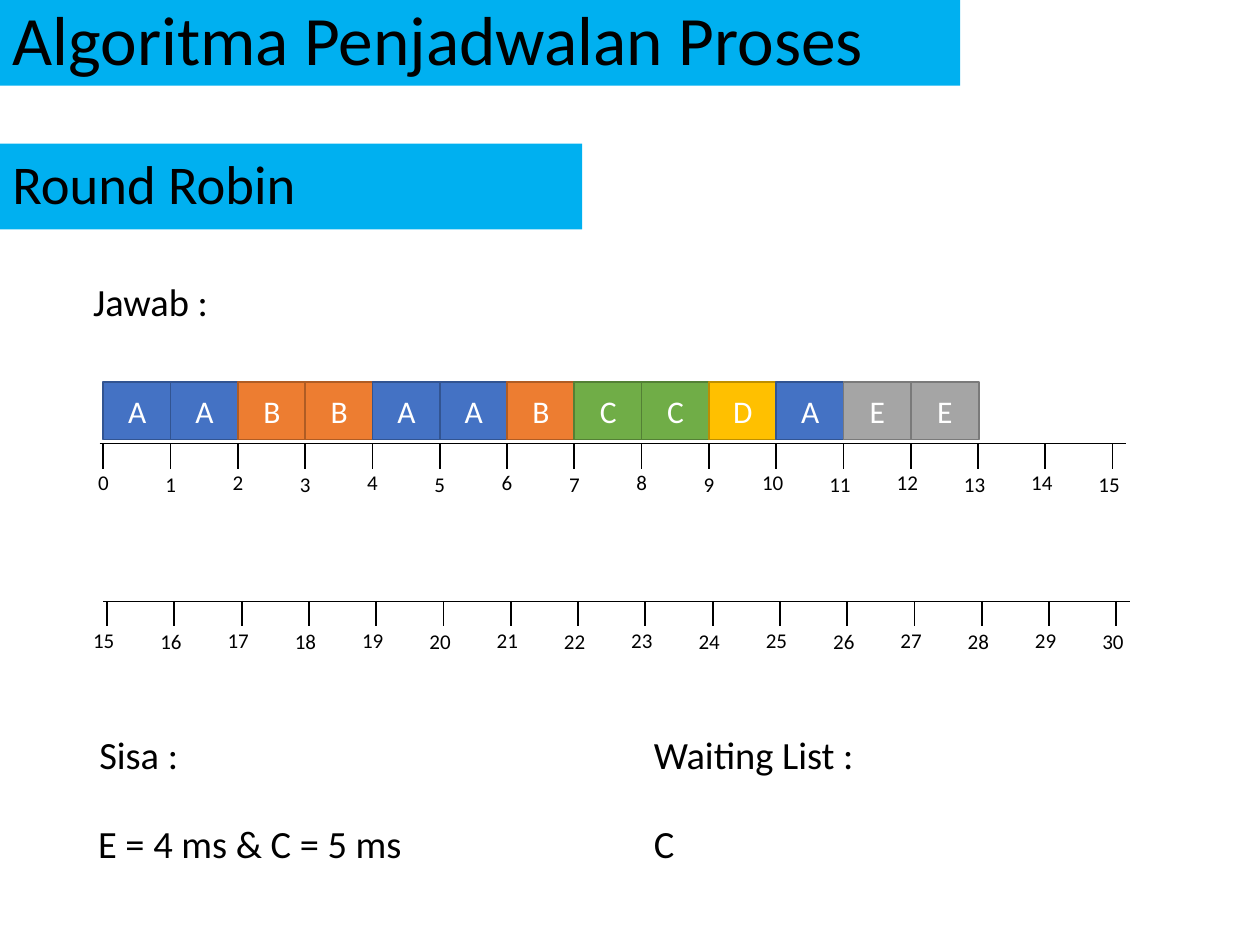
"""Build the Round Robin scheduling slide with its Gantt chart and two time axes."""
from lxml import etree
from pptx import Presentation
from pptx.dml.color import RGBColor
from pptx.enum.shapes import MSO_CONNECTOR, MSO_SHAPE
from pptx.enum.text import MSO_ANCHOR, MSO_AUTO_SIZE, PP_ALIGN
from pptx.oxml.ns import qn
from pptx.util import Inches, Pt

RECTANGLE = MSO_SHAPE.RECTANGLE
STRAIGHT = MSO_CONNECTOR.STRAIGHT
MIDDLE, TOP = MSO_ANCHOR.MIDDLE, MSO_ANCHOR.TOP
LEFT, CENTER, JUSTIFY = PP_ALIGN.LEFT, PP_ALIGN.CENTER, PP_ALIGN.JUSTIFY
NO_FIT, GROW = MSO_AUTO_SIZE.NONE, MSO_AUTO_SIZE.SHAPE_TO_FIT_TEXT

BLACK = RGBColor(0x00, 0x00, 0x00)
WHITE = RGBColor(0xFF, 0xFF, 0xFF)
BAND_BLUE = RGBColor(0x00, 0xB0, 0xF0)
PROCESS_COLOURS = {
    "A": (RGBColor(0x44, 0x72, 0xC4), RGBColor(0x32, 0x54, 0x91)),
    "B": (RGBColor(0xED, 0x7D, 0x31), RGBColor(0xAF, 0x5C, 0x24)),
    "C": (RGBColor(0x70, 0xAD, 0x47), RGBColor(0x53, 0x80, 0x35)),
    "D": (RGBColor(0xFF, 0xC0, 0x00), RGBColor(0xBD, 0x8E, 0x00)),
    "E": (RGBColor(0xA5, 0xA5, 0xA5), RGBColor(0x7A, 0x7A, 0x7A)),
}
STEP = 0.534


def write(box, text, size, colour=BLACK, align=LEFT, anchor=TOP, fit=GROW, spacing=1.0):
    """Put one formatted paragraph in a box."""
    frame = box.text_frame
    para = frame.paragraphs[0]
    span = para.add_run()
    span.text = text
    span.font.color.rgb = colour
    formats = (
        (frame, {"word_wrap": True, "vertical_anchor": anchor, "auto_size": fit}),
        (para, {"alignment": align, "line_spacing": spacing}),
        (span.font, {"name": "Calibri", "size": Pt(size)}),
    )
    for target, values in formats:
        for name, value in values.items():
            setattr(target, name, value)


def draw_line(shapes, x1, y1, x2, y2, width):
    """Draw a black line without a shadow."""
    line = shapes.add_connector(STRAIGHT, Inches(x1), Inches(y1), Inches(x2), Inches(y2))
    line.line.color.rgb = BLACK
    line.line.width = Pt(width)
    etree.SubElement(line._element.spPr, qn("a:effectLst"))


deck = Presentation()
deck.slide_width, deck.slide_height = Inches(10), Inches(7.5)
page = deck.slides.add_slide(deck.slide_layouts[5])

title = page.shapes.title
subtitle = page.shapes.add_shape(RECTANGLE, 0, 0, 0, 0)
subtitle.shadow.inherit = False
subtitle.line.fill.background()
for band, text, top, width, size in (
    (title, "Algoritma Penjadwalan Proses", 0, 7.62, 39.6),
    (subtitle, "Round Robin", 1.14, 4.62, 31.2),
):
    band.left, band.top = Inches(0), Inches(top)
    band.width, band.height = Inches(width), Inches(0.68)
    band.fill.solid()
    band.fill.fore_color.rgb = BAND_BLUE
    write(band, text, size, anchor=MIDDLE, fit=NO_FIT, spacing=0.9)

for axis_left, axis_top, label_left, first in ((0.79, 3.52, 0.68, 0), (0.82, 4.77, 0.64, 15)):
    axis = page.shapes.add_group_shape().shapes
    draw_line(axis, axis_left, axis_top, axis_left + 8.15, axis_top, 0.5)
    for i in range(16):
        tick = axis_left + 0.03 + i * STEP
        draw_line(axis, tick, axis_top, tick, axis_top + 0.2, 1)
        time = first + i
        shift = 0.07 if first == 0 and time > 9 else 0
        label = axis.add_textbox(
            Inches(label_left + i * STEP - shift), Inches(axis_top + 0.16 + i % 2 * 0.01),
            Inches(0.4 if time > 9 else 0.33), Inches(0.3))
        write(label, str(time), 12)

for i, process in enumerate("AABBAABCCDAEE"):
    fill, outline = PROCESS_COLOURS[process]
    block = page.shapes.add_shape(
        RECTANGLE, Inches(0.82 + i * STEP), Inches(3.03), Inches(0.54), Inches(0.46))
    block.shadow.inherit = False
    block.fill.solid()
    block.fill.fore_color.rgb = fill
    block.line.color.rgb = outline
    block.line.width = Pt(1)
    write(block, process, 18, WHITE, CENTER, MIDDLE, NO_FIT)

for text, left, top, width in (
    ("Jawab :", 0.64, 2.16, 1.98),
    ("Sisa :", 0.69, 5.75, 2.8),
    ("Waiting List :", 5.09, 5.75, 1.98),
    ("E = 4 ms & C = 5 ms ", 0.68, 6.46, 2.85),
    ("C", 5.09, 6.46, 1.98),
):
    note = page.shapes.add_textbox(Inches(left), Inches(top), Inches(width), Inches(0.47))
    write(note, text, 22, align=JUSTIFY)

deck.save("out.pptx")
